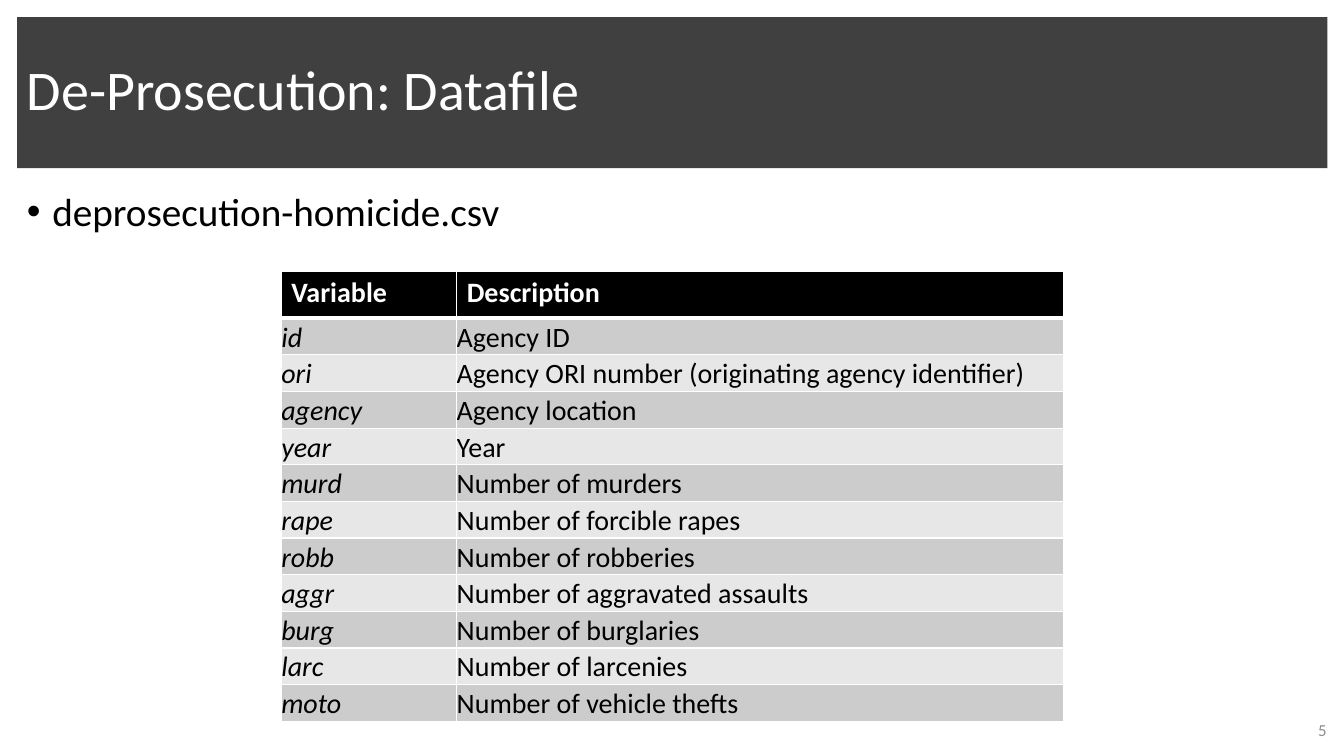
"""Build the datafile slide with its table of variables."""
from lxml import etree
from pptx import Presentation
from pptx import util as u
from pptx.dml.color import RGBColor
from pptx.enum import shapes, text
from pptx.oxml.ns import qn

TITLE = "De-Prosecution: Datafile"
DATAFILE = "deprosecution-homicide.csv"
PAGE_NUMBER = "5"
HEADER = ("Variable", "Description")
VARIABLES = [
    ("id", "Agency ID"),
    ("ori", "Agency ORI number (originating agency identifier)"),
    ("agency", "Agency location"),
    ("year", "Year"),
    ("murd", "Number of murders"),
    ("rape", "Number of forcible rapes"),
    ("robb", "Number of robberies"),
    ("aggr", "Number of aggravated assaults"),
    ("burg", "Number of burglaries"),
    ("larc", "Number of larcenies"),
    ("moto", "Number of vehicle thefts"),
]
BANDS = ("CCCCCC", "E7E7E7")
TITLE_AREA = (0.43, 0.43, 33.02, 3.81)
BODY_AREA = (0.43, 4.6, 33.02, 14.05)
NUMBER_AREA = (24.79, 17.88, 8.89, 1.02)
TABLE_AREA = (7.09, 6.83, 19.71, 11.35)
COLUMN_WIDTHS = (4.42, 15.29)
HEADER_HEIGHT = 1.19
MIDDLE = text.MSO_ANCHOR.MIDDLE


def color(value):
    return RGBColor.from_string(value)


def area(lengths):
    return [u.Cm(length) for length in lengths]


def paint(target, value):
    target.fill.solid()
    target.fill.fore_color.rgb = color(value)


def write(frame, words, size, ink, **formats):
    para = frame.paragraphs[0]
    span = para.add_run()
    span.text = words
    span.font.color.rgb = color(ink)
    for name, value in {"name": "Calibri", "size": u.Pt(size), **formats}.items():
        setattr(span.font, name, value)
    return para


def text_box(page, lengths, anchor):
    frame = page.shapes.add_textbox(*area(lengths)).text_frame
    frame.word_wrap = True
    frame.vertical_anchor = anchor
    return frame


def add_bullet(para, indent):
    props = para._p.get_or_add_pPr()
    props.set("marL", str(indent))
    props.set("indent", str(-indent))
    etree.SubElement(props, qn("a:buFont"), typeface="Arial")
    etree.SubElement(props, qn("a:buChar"), char="•")


def add_borders(cell, bottom):
    props = cell._tc.get_or_add_tcPr()
    widths = {"lnL": 1, "lnR": 1, "lnT": 1, "lnB": bottom}
    for place, (side, width) in enumerate(widths.items()):
        line = etree.Element(qn(f"a:{side}"), w=str(u.Pt(width)))
        fill = etree.SubElement(line, qn("a:solidFill"))
        etree.SubElement(fill, qn("a:srgbClr"), val="FFFFFF")
        props.insert(place, line)


def add_variable_table(page):
    rows = [HEADER, *VARIABLES]
    table = page.shapes.add_table(len(rows), len(HEADER), *area(TABLE_AREA)).table
    for column, width in zip(table.columns, COLUMN_WIDTHS):
        column.width = u.Cm(width)
    row_height = (TABLE_AREA[3] - HEADER_HEIGHT) / len(VARIABLES)
    for i, row in enumerate(rows):
        is_header = i == 0
        table.rows[i].height = u.Cm(HEADER_HEIGHT if is_header else row_height)
        for j, words in enumerate(row):
            cell = table.cell(i, j)
            if is_header:
                paint(cell, "000000")
                write(cell.text_frame, words, 20, "FFFFFF", bold=True)
            else:
                paint(cell, BANDS[(i - 1) % 2])
                cell.vertical_anchor = text.MSO_ANCHOR.BOTTOM
                for side in ("left", "right", "top", "bottom"):
                    setattr(cell, f"margin_{side}", 0)
                write(cell.text_frame, words, 20, "000000", bold=False, italic=j == 0)
            add_borders(cell, 3 if is_header else 1)


def main():
    deck = Presentation()
    deck.slide_width, deck.slide_height = u.Cm(33.87), u.Cm(19.05)
    page = deck.slides.add_slide(deck.slide_layouts[6])

    banner = page.shapes.add_shape(shapes.MSO_SHAPE.RECTANGLE, *area(TITLE_AREA))
    banner.shadow.inherit = False
    banner.line.fill.background()
    paint(banner, "404040")
    banner.text_frame.vertical_anchor = MIDDLE
    para = write(banner.text_frame, TITLE, 40, "FFFFFF")
    para.alignment = text.PP_ALIGN.LEFT
    para.line_spacing = 0.9

    body = text_box(page, BODY_AREA, text.MSO_ANCHOR.TOP)
    add_bullet(write(body, DATAFILE, 28, "000000"), u.Cm(0.64))

    number = text_box(page, NUMBER_AREA, MIDDLE)
    write(number, PAGE_NUMBER, 12, "8C8C8C").alignment = text.PP_ALIGN.RIGHT

    add_variable_table(page)
    deck.save("out.pptx")


if __name__ == "__main__":
    main()
